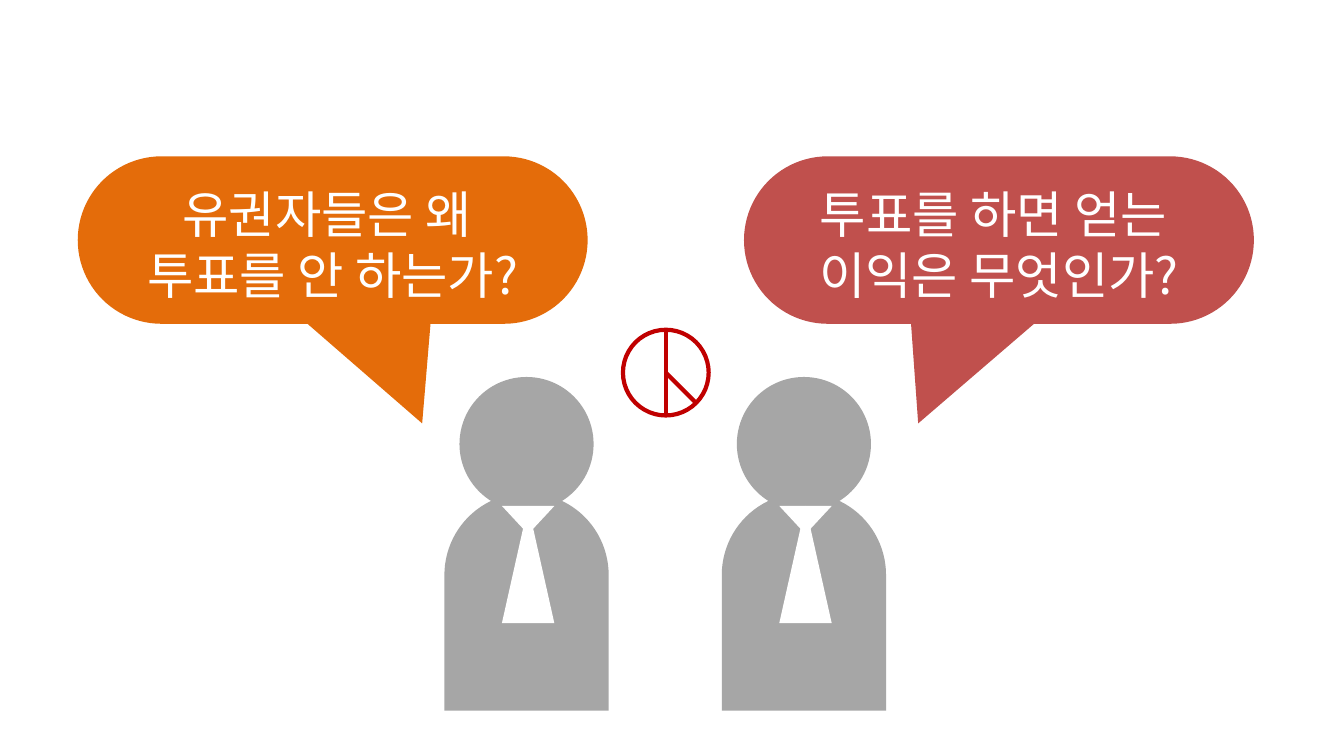
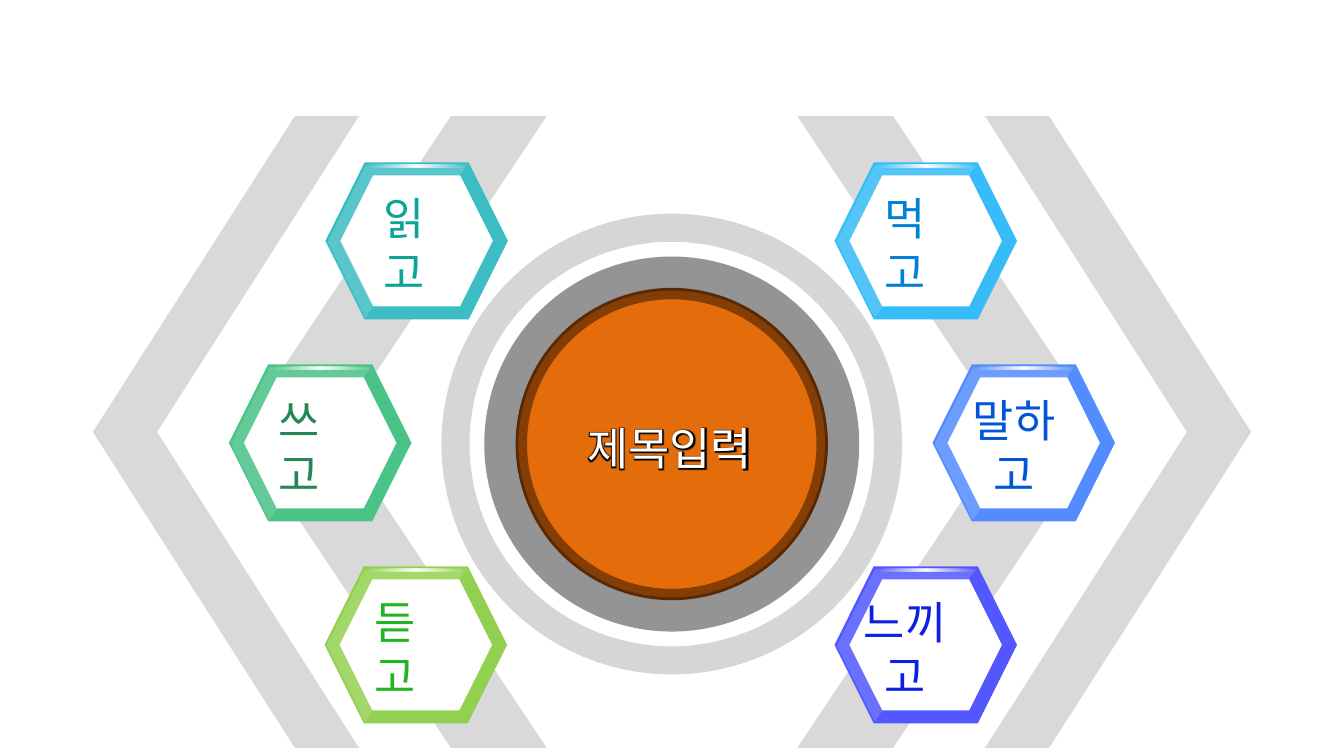
from pptx import Presentation
from pptx.dml.color import RGBColor as RGB
from pptx.enum.shapes import MSO_CONNECTOR, MSO_SHAPE as SHAPE
from pptx.enum.text import MSO_ANCHOR, PP_ALIGN
from pptx.oxml import parse_xml
from pptx.oxml.ns import nsdecls, qn
from pptx.util import Cm, Pt

WHITE = RGB(0xFF, 0xFF, 0xFF)
BLACK = RGB(0x00, 0x00, 0x00)
ORANGE = RGB(0xE4, 0x6C, 0x0A)
BROWN = RGB(0x98, 0x48, 0x07)
BRICK = RGB(0xC0, 0x50, 0x4D)
RED = RGB(0xC0, 0x00, 0x00)
GRAY = RGB(0xA6, 0xA6, 0xA6)
LIGHT_GRAY = RGB(0xD9, 0xD9, 0xD9)
TEAL, TEAL_TEXT = RGB(0x3B, 0xBD, 0xC3), RGB(0x0A, 0xA5, 0x97)
GREEN, GREEN_TEXT = RGB(0x49, 0xC3, 0x86), RGB(0x25, 0x87, 0x56)
LIME, LIME_TEXT = RGB(0x92, 0xD0, 0x50), RGB(0x21, 0xB6, 0x21)
SKY, SKY_TEXT = RGB(0x35, 0xBC, 0xF9), RGB(0x00, 0x81, 0xD7)
BLUE, BLUE_TEXT = RGB(0x53, 0x8C, 0xFF), RGB(0x00, 0x56, 0xD7)
INDIGO, INDIGO_TEXT = RGB(0x53, 0x57, 0xFF), RGB(0x0B, 0x20, 0xE1)

FONT = "Noto Sans CJK KR"
SLIDE_W, SLIDE_H = 33.87, 19.05


class Deck:
    def __init__(self):
        self.prs = Presentation()
        self.prs.slide_width, self.prs.slide_height = Cm(SLIDE_W), Cm(SLIDE_H)
        self.s = None

    def new_slide(self):
        self.s = self.prs.slides.add_slide(self.prs.slide_layouts[6])

    def paint(self, sp, fill, line=None, weight=0, alpha=None):
        sp.shadow.inherit = False
        sp.fill.solid()
        sp.fill.fore_color.rgb = fill
        if alpha is not None:
            clr = next(sp._element.spPr.iter(qn("a:srgbClr")))
            clr.append(parse_xml(f'<a:alpha {nsdecls("a")} val="{alpha * 1000}"/>'))
        if line is None:
            sp.line.fill.background()
        else:
            sp.line.color.rgb = line
            sp.line.width = Pt(weight)
        return sp

    def shape(self, kind, x, y, w, h, fill, adj=(), turn=0, **style):
        sp = self.s.shapes.add_shape(kind, Cm(x), Cm(y), Cm(w), Cm(h))
        for i, value in enumerate(adj):
            sp.adjustments[i] = value
        sp.rotation = turn
        return self.paint(sp, fill, **style)

    def disc(self, kind, cx, cy, d, fill, **style):
        return self.shape(kind, cx - d / 2, cy - d / 2, d, d, fill, **style)

    def outline(self, points, fill, **style):
        pts = [(Cm(x), Cm(y)) for x, y in points]
        fb = self.s.shapes.build_freeform(*pts[0])
        fb.add_line_segments(pts[1:], close=True)
        return self.paint(fb.convert_to_shape(), fill, **style)

    def line(self, x1, y1, x2, y2, color, weight):
        c = self.s.shapes.add_connector(
            MSO_CONNECTOR.STRAIGHT, Cm(x1), Cm(y1), Cm(x2), Cm(y2))
        c.line.color.rgb = color
        c.line.width = Pt(weight)
        c._element.spPr.append(parse_xml(f'<a:effectLst {nsdecls("a")}/>'))

    def add_text(self, sp, lines, size, color, glow=None):
        tf = sp.text_frame
        tf.word_wrap = True
        tf.vertical_anchor = MSO_ANCHOR.MIDDLE
        tf.margin_left = tf.margin_right = tf.margin_bottom = 0
        tf.margin_top = Cm(0.2)
        for i, text in enumerate(lines):
            p = tf.add_paragraph() if i else tf.paragraphs[0]
            p.alignment = PP_ALIGN.CENTER
            p.line_spacing = Pt(round(size * 1.19))
            r = p.add_run()
            r.text = text
            r.font.size = Pt(size)
            r.font.name = FONT
            r.font.color.rgb = color
            latin = r._r.rPr.find(qn("a:latin"))
            latin.addnext(parse_xml(f'<a:ea {nsdecls("a")} typeface="{FONT}"/>'))
            if glow is not None:
                latin.addprevious(parse_xml(
                    f'<a:effectLst {nsdecls("a")}><a:glow rad="{Pt(3)}">'
                    f'<a:srgbClr val="{glow}"/></a:glow></a:effectLst>'))

    def label(self, text, cx, cy, w, h, color, **style):
        tb = self.s.shapes.add_textbox(
            Cm(cx - w / 2), Cm(cy - h / 2), Cm(w), Cm(h))
        self.add_text(tb, [text], 32, color, **style)

    def bubble(self, x, tail, lines, fill):
        y, w, h = 3.94, 12.85, 4.22
        base = y + h
        start, tip, end = tail
        self.outline([(start, base), (tip, 10.67), (end, base)], fill)
        sp = self.shape(SHAPE.ROUNDED_RECTANGLE, x, y, w, h, fill, adj=[0.5])
        self.add_text(sp, lines, 36, WHITE)

    def person(self, x):
        self.shape(SHAPE.OVAL, x + 0.38, 9.5, 3.38, 3.38, GRAY)
        self.shape(SHAPE.ROUND_2_SAME_RECTANGLE, x, 12.42, 4.14, 5.49, GRAY,
                   adj=[0.5, 0])
        for h, turn in ((2.95, 0), (0.71, 180)):
            self.shape(SHAPE.ISOSCELES_TRIANGLE, x + 1.45, 12.75, 1.32, h, WHITE,
                       turn=turn)

    def gloss(self, x, y, w, h):
        sp = self.shape(SHAPE.RECTANGLE, x, y, w, h, WHITE)
        stops = "".join(
            f'<a:gs pos="{pos}"><a:srgbClr val="{WHITE}">'
            f'<a:alpha val="{alpha}"/></a:srgbClr></a:gs>'
            for pos, alpha in ((0, 0), (50000, 100000), (100000, 0)))
        solid = sp._element.spPr.find(qn("a:solidFill"))
        solid.addprevious(parse_xml(
            f'<a:gradFill {nsdecls("a")} rotWithShape="1"><a:gsLst>{stops}</a:gsLst>'
            '<a:lin ang="0" scaled="0"/></a:gradFill>'))
        sp._element.spPr.remove(solid)

    def hexagon(self, x, y, text, text_dx, fill, color):
        self.shape(SHAPE.HEXAGON, x, y, 4.6, 3.96, fill)
        self.shape(SHAPE.HEXAGON, x + 0.38, y + 0.33, 3.84, 3.3, WHITE)
        self.gloss(x + 1.12, y + 0.06, 2.39, 0.08)
        facet = ((0.06, 2), (1.02, 0.08), (3.56, 0.08), (1.02, 3.92))
        self.outline([(x + dx, y + dy) for dx, dy in facet], WHITE, alpha=15)
        self.label(text, x + text_dx, y + 1.98, 0.8 * len(text), 2.9, color)


def questions(d):
    d.new_slide()
    d.bubble(1.96, (7.75, 10.64, 10.85),
             ["유권자들은 왜 ", "투표를 안 하는가?"], ORANGE)
    d.bubble(18.75, (26.06, 23.14, 22.96),
             ["투표를 하면 얻는 ", "이익은 무엇인가?"], BRICK)
    for x in (11.2, 18.19):
        d.person(x)
    cx, cy, radius, reach = 16.78, 9.39, 1.08, 0.76
    d.disc(SHAPE.OVAL, cx, cy, 2 * radius, WHITE, line=RED, weight=3)
    d.line(cx, cy - radius, cx, cy + radius, RED, 3)
    d.line(cx + reach, cy + reach, cx, cy, RED, 3)


def topics(d):
    d.new_slide()
    cx, cy = 16.93, 11.19
    d.disc(SHAPE.OVAL, cx, cy, 7.8, ORANGE, line=BROWN, weight=2)
    for x, w, adj in ((20.09, 7.72, 0.687), (24.82, 6.71, 0.759)):
        for left, turn in ((x, 0), (SLIDE_W - x - w, 180)):
            d.shape(SHAPE.CHEVRON, left, 2.92, w, 15.93, LIGHT_GRAY,
                    adj=[adj], turn=turn)
    for size, adj, alpha in ((11.61, 0.061, 16), (9.45, 0.114, 42)):
        d.disc(SHAPE.DONUT, cx, cy, size, BLACK, adj=[adj], alpha=alpha)
    hexagons = (
        (8.2, 0, "읽고", 1.98, TEAL, TEAL_TEXT),
        (8.18, 2, "듣고", 1.78, LIME, LIME_TEXT),
        (21.03, 0, "먹고", 1.78, SKY, SKY_TEXT),
        (23.5, 1, "말하고", 2.06, BLUE, BLUE_TEXT),
        (5.77, 1, "쓰고", 1.78, GREEN, GREEN_TEXT),
        (21.03, 2, "느끼고", 1.78, INDIGO, INDIGO_TEXT),
    )
    for x, row, *content in hexagons:
        d.hexagon(x, 4.09 + 5.09 * row, *content)
    d.label("제목입력", cx - 0.05, cy, 7.04, 1.63, WHITE, glow=BLACK)


def main():
    d = Deck()
    questions(d)
    topics(d)
    d.prs.save("out.pptx")


if __name__ == "__main__":
    main()
